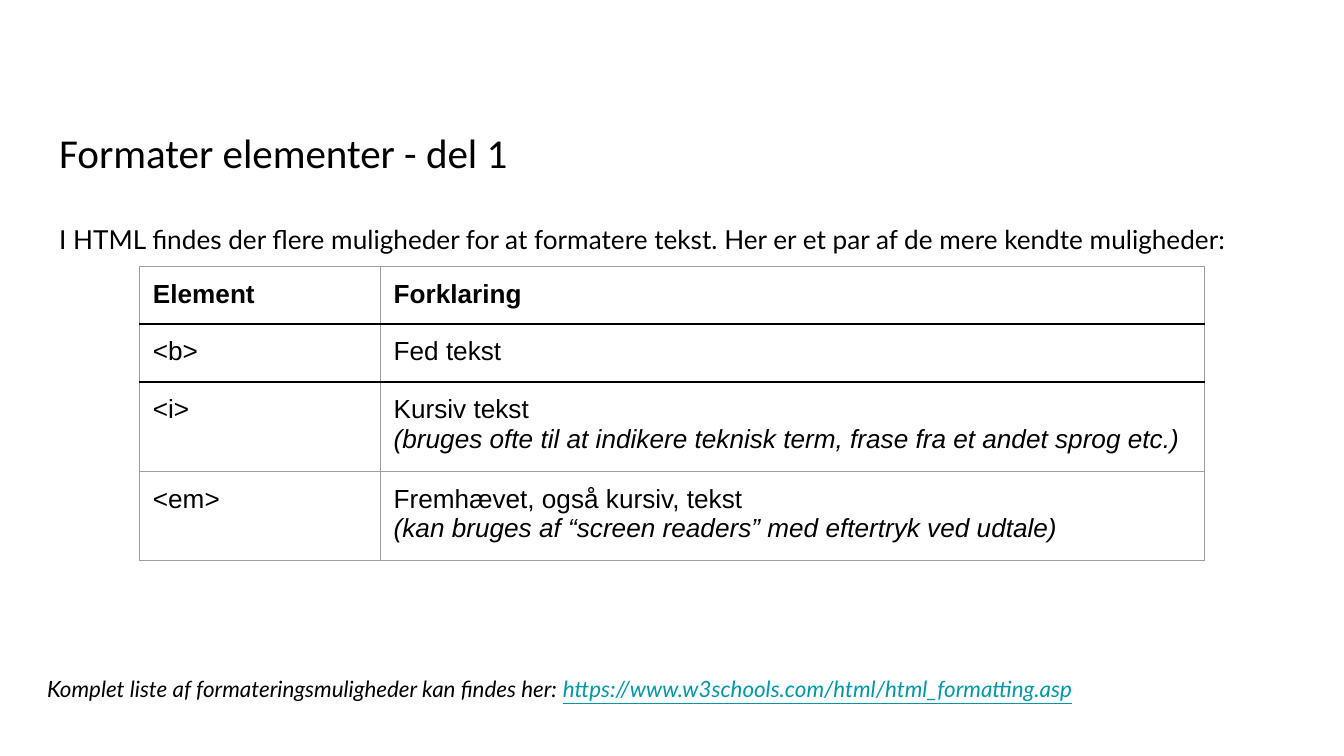
from lxml.etree import SubElement
from pptx import Presentation
from pptx.dml.color import RGBColor
from pptx.enum.text import MSO_ANCHOR as Anchor
from pptx.oxml.ns import qn
from pptx.util import Cm, Pt

BLACK, GREY, TEAL = "000000", "9E9E9E", "0097A7"
INSET = Cm(0.25)
BREAK = "\n"


def colour(hex_code):
    return RGBColor.from_string(hex_code)


class SlideBuilder:
    def __init__(self, slide):
        self.slide = slide
        self.heading_font = "Calibri"
        self.body_font = "Lato"
        self.table_font = "Arial"

    def runs(self, paragraph, pieces, font, size):
        """Each piece is BREAK or (text, style), style a dict of font settings."""
        for piece in pieces:
            if piece == BREAK:
                paragraph.add_line_break()
                continue
            text, style = piece
            run = paragraph.add_run()
            run.text = text
            run.font.name = font
            run.font.size = Pt(size)
            run.font.bold = style.get("bold", False)
            run.font.italic = style.get("italic", False)
            run.font.underline = style.get("underline", False)
            run.font.color.rgb = colour(style.get("colour", BLACK))

    def text(self, left, top, width, height, pieces, font, size,
             spacing=1.0, anchor=Anchor.TOP):
        box = self.slide.shapes.add_textbox(Cm(left), Cm(top), Cm(width), Cm(height))
        frame = box.text_frame
        frame.word_wrap = True
        frame.vertical_anchor = anchor
        frame.margin_left = frame.margin_right = INSET
        frame.margin_top = frame.margin_bottom = INSET
        paragraph = frame.paragraphs[0]
        paragraph.line_spacing = spacing
        self.runs(paragraph, pieces, font, size)

    def border(self, cell, side, hex_code, points):
        line = SubElement(cell._tc.get_or_add_tcPr(), qn(f"a:ln{side}"), w=str(Pt(points)))
        fill = SubElement(line, qn("a:solidFill"))
        SubElement(fill, qn("a:srgbClr"), val=hex_code)

    def table(self, left, top, widths, heights, rows, size, strong_lines):
        """strong_lines holds the numbers of the horizontal lines drawn in black."""
        frame = self.slide.shapes.add_table(
            len(rows), len(widths), Cm(left), Cm(top), Cm(sum(widths)), Cm(sum(heights)))
        table = frame.table
        table.first_row = table.horz_banding = False
        for column, width in zip(table.columns, widths):
            column.width = Cm(width)
        for r, (row, height) in enumerate(zip(rows, heights)):
            table.rows[r].height = Cm(height)
            for c, pieces in enumerate(row):
                cell = table.cell(r, c)
                cell.margin_left = cell.margin_right = INSET
                cell.margin_top = cell.margin_bottom = INSET
                for side, line in (("L", None), ("R", None), ("T", r), ("B", r + 1)):
                    strong = line in strong_lines
                    self.border(cell, side, BLACK if strong else GREY, 1.5 if strong else 0.75)
                cell.fill.background()
                self.runs(cell.text_frame.paragraphs[0], pieces, self.table_font, size)


def main():
    deck = Presentation()
    deck.slide_width, deck.slide_height = Cm(25.4), Cm(14.29)
    page = SlideBuilder(deck.slides.add_slide(deck.slide_layouts[6]))
    plain, bold, italic = {}, {"bold": True}, {"italic": True}

    # Heading and introduction
    page.text(0.87, 2.08, 24.13, 1.6, [("Formater elementer - del 1", plain)],
              page.heading_font, 22, anchor=Anchor.MIDDLE)
    page.text(0.87, 3.68, 23.57, 1.88,
              [("I HTML findes der flere muligheder for at formatere tekst. "
                "Her er et par af de mere kendte muligheder:", plain)],
              page.body_font, 14, spacing=1.5)

    # Formatting elements and what they do
    elements = [
        ([("Element", bold)], [("Forklaring", bold)]),
        ([("<b>", plain)], [("Fed tekst", plain)]),
        ([("<i>", plain)],
         [("Kursiv tekst", plain), BREAK,
          ("(bruges ofte til at indikere teknisk term, frase fra et andet sprog etc.)", italic)]),
        ([("<em>", plain)],
         [("Fremhævet, også kursiv, tekst", plain), BREAK,
          ("(kan bruges af “screen readers” med eftertryk ved udtale)", italic)]),
    ]
    page.table(2.64, 5.03, [4.55, 15.57], [1.06, 1.06, 1.62, 1.62], elements, 14,
               strong_lines=(1, 2))

    # Where to read more
    address = {"italic": True, "underline": True, "colour": TEAL}
    page.text(0.64, 12.52, 24.13, 1.35,
              [("Komplet liste af formateringsmuligheder kan findes her: ", italic),
               ("https://www.w3schools.com/html/html_formatting.asp", address)],
              page.body_font, 12)

    deck.save("out.pptx")


if __name__ == "__main__":
    main()
